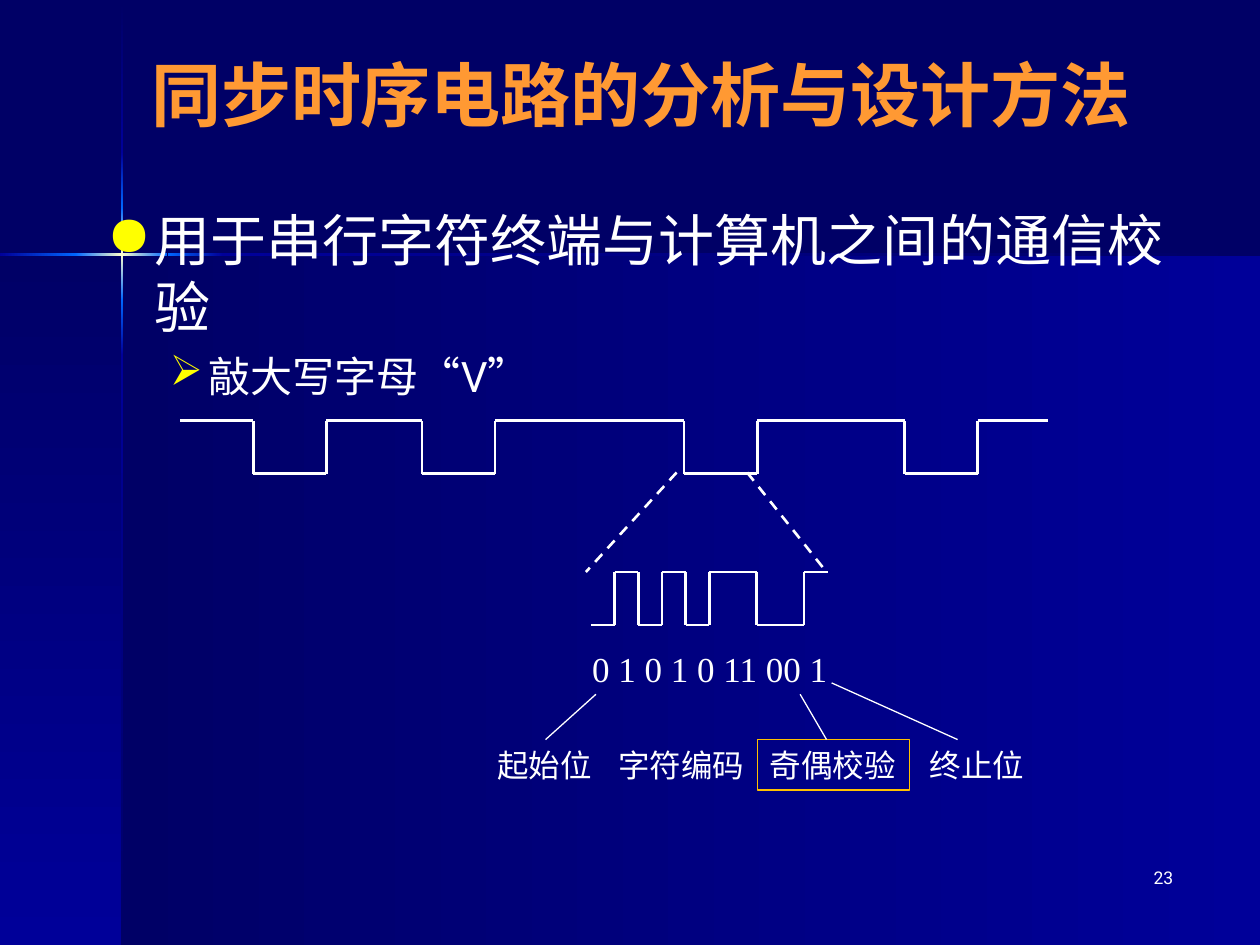
from copy import deepcopy
from dataclasses import dataclass
from itertools import groupby, pairwise

from lxml.etree import SubElement
from pptx import Presentation
from pptx.dml.color import RGBColor
from pptx.enum.dml import MSO_LINE_DASH_STYLE as Dash
from pptx.enum.shapes import MSO_CONNECTOR as Connector, MSO_SHAPE as Shape
from pptx.enum.text import MSO_ANCHOR as Anchor, MSO_AUTO_SIZE as AutoSize, PP_ALIGN as Align
from pptx.oxml.ns import qn
from pptx.util import Inches, Pt

COLORS = {
    "night": "000066", "navy": "000099", "blue": "0066FF", "glow": "FFFFCC",
    "title": "FF9933", "text": "FFFFFF", "bullet": "FFFF00", "frame": "FFC000",
}
DOWN, ACROSS = 270, 0


@dataclass
class Band:
    left: float
    top: float
    width: float
    height: float
    angle: int
    stops: tuple[str, ...]


@dataclass
class Label:
    text: str
    left: float
    top: float
    width: float
    height: float
    size: int = 18
    framed: bool = False


@dataclass
class Bullet:
    text: str
    char: str
    size: int
    margin: float
    hanging: float
    space_before: float = 0


@dataclass
class Link:
    start: tuple[float, float]
    end: tuple[float, float]
    weight: float = 0.75
    dashed: bool = False


# Backdrop: panels, then the fading cross of light
RISE, FALL = ("navy", "blue"), ("blue", "navy")
FLARE = ("blue", "glow", "blue")
BANDS = [
    Band(0.97, 2.02, 9.03, 5.48, ACROSS, ("night", "navy")),
    Band(0, 2.02, 0.97, 5.48, DOWN, ("night", "navy")),
    Band(0.96, 0.01, 0.02, 1.2, DOWN, ("night", "navy")),
    Band(0.96, 2.82, 0.02, 4.68, DOWN, ("navy", "night")),
    Band(1.77, 2.01, 8.23, 0.02, ACROSS, ("navy", "night")),
    Band(0.96, 2.38, 0.02, 0.44, DOWN, FALL),
    Band(0.96, 1.21, 0.02, 0.44, DOWN, RISE),
    Band(0.96, 1.65, 0.02, 0.73, DOWN, FLARE),
    Band(0, 2.01, 0.61, 0.02, ACROSS, RISE),
    Band(1.33, 2.01, 0.44, 0.02, ACROSS, FALL),
    Band(0.6, 2.01, 0.73, 0.02, ACROSS, FLARE),
]
BULLETS = [
    Bullet("用于串行字符终端与计算机之间的通信校验", "●", 32, 0.38, 0.38),
    Bullet("敲大写字母“V”", "➢", 24, 0.81, 0.31, 6),
]
BITS = "0 1 0 1 0 11 00 1"
LABELS = [
    Label(BITS, 4.6, 5.09, 2.08, 0.44, 20),
    Label("起始位", 3.85, 5.87, 1.04, 0.4),
    Label("字符编码", 4.81, 5.87, 1.29, 0.4),
    Label("奇偶校验", 6.01, 5.87, 1.21, 0.4, framed=True),
    Label("终止位", 7.28, 5.87, 1.04, 0.4),
]
LINKS = [
    Link((5.37, 3.75), (4.65, 4.54), 1.5, True),
    Link((5.93, 3.75), (6.56, 4.54), 1.5, True),
    Link((4.73, 5.51), (4.33, 5.87)),
    Link((6.35, 5.51), (6.56, 5.87)),
    Link((6.6, 5.42), (7.6, 5.87)),
]


def rgb(name: str) -> RGBColor:
    return RGBColor.from_string(COLORS[name])


def apply(target, values: dict) -> None:
    for name, value in values.items():
        setattr(target, name, value)


def add_run(paragraph, text: str, size: int, font: str, color="text", bold=False) -> None:
    run = paragraph.add_run()
    run.text = text
    apply(run.font, {"size": Pt(size), "name": font, "bold": bold})
    run.font.color.rgb = rgb(color)


def add_box(slide, left: float, top: float, width: float, height: float, **frame_format):
    box = slide.shapes.add_textbox(*map(Inches, (left, top, width, height)))
    apply(box.text_frame, {"word_wrap": True, **frame_format})
    return box


def add_band(slide, band: Band) -> None:
    shape = slide.shapes.add_shape(
        Shape.RECTANGLE, *map(Inches, (band.left, band.top, band.width, band.height)))
    shape.shadow.inherit = False
    shape.line.fill.background()
    shape.fill.gradient()
    shape.fill.gradient_angle = band.angle
    # A new gradient has two stops; a flare needs a third
    stop_list = shape.fill._fill._gradFill.find(qn("a:gsLst"))
    for _ in band.stops[2:]:
        stop_list.append(deepcopy(stop_list[-1]))
    for index, (stop, color) in enumerate(zip(shape.fill.gradient_stops, band.stops)):
        stop.position = index / (len(band.stops) - 1)
        stop.color.rgb = rgb(color)


def add_link(slide, link: Link) -> None:
    connector = slide.shapes.add_connector(
        Connector.STRAIGHT, *map(Inches, (*link.start, *link.end)))
    connector.line.color.rgb = rgb("text")
    connector.line.width = Pt(link.weight)
    if link.dashed:
        connector.line.dash_style = Dash.DASH
    SubElement(connector._element.spPr, qn("a:effectLst"))


def add_wave(slide, edges: list[float], high: float, low: float, starts_high: bool) -> None:
    """Draw a square wave that changes level at every inner edge."""
    level, other = (high, low) if starts_high else (low, high)
    for left, right in pairwise(edges):
        add_link(slide, Link((left, level), (right, level), 1.5))
        if right != edges[-1]:
            add_link(slide, Link((right, low), (right, high), 1.5))
        level, other = other, level


def add_bullet(paragraph, bullet: Bullet) -> None:
    paragraph.space_before = Pt(bullet.space_before)
    properties = paragraph._p.get_or_add_pPr()
    properties.set("marL", str(Inches(bullet.margin)))
    properties.set("indent", str(-Inches(bullet.hanging)))
    color = SubElement(properties, qn("a:buClr"))
    SubElement(color, qn("a:srgbClr"), val=COLORS["bullet"])
    SubElement(properties, qn("a:buChar"), char=bullet.char)
    add_run(paragraph, bullet.text, bullet.size, "Roboto")


def add_label(slide, label: Label) -> None:
    box = add_box(slide, label.left, label.top, label.width, label.height,
                  auto_size=AutoSize.SHAPE_TO_FIT_TEXT)
    add_run(box.text_frame.paragraphs[0], label.text, label.size, "Times New Roman")
    if label.framed:
        box.line.color.rgb = rgb("frame")
        box.line.width = Pt(0.75)


def main() -> None:
    presentation = Presentation()
    apply(presentation, {"slide_width": Inches(10), "slide_height": Inches(7.5)})
    slide = presentation.slides.add_slide(presentation.slide_layouts[6])
    slide.background.fill.solid()
    slide.background.fill.fore_color.rgb = rgb("night")
    for band in BANDS:
        add_band(slide, band)

    # Title, bullets and page number
    title = add_box(slide, 0.5, 0.33, 9.17, 0.83, vertical_anchor=Anchor.MIDDLE)
    paragraph = title.text_frame.paragraphs[0]
    paragraph.alignment = Align.CENTER
    add_run(paragraph, "同步时序电路的分析与设计方法", 40, "Roboto", "title", True)
    body = add_box(slide, 0.75, 1.58, 8.67, 5.08).text_frame
    for index, bullet in enumerate(BULLETS):
        add_bullet(body.add_paragraph() if index else body.paragraphs[0], bullet)
    number = add_box(slide, 7.33, 6.83, 2.08, 0.5).text_frame.paragraphs[0]
    number.alignment = Align.RIGHT
    add_run(number, "23", 10, "Roboto")

    # Line signal: one low pulse per character
    pulse_edges = [edge for start in (2.01, 3.35, 5.43, 7.18) for edge in (start, start + 0.58)]
    add_wave(slide, [1.43, *pulse_edges, 8.32], 3.34, 3.76, True)

    # Enlarged pulse: one equal step per bit
    bits = BITS.replace(" ", "")
    bit_width = (6.57 - 4.69) / len(bits)
    bit_edges = [4.69]
    for _, group in groupby(bits):
        bit_edges.append(bit_edges[-1] + bit_width * len(list(group)))
    add_wave(slide, bit_edges, 4.54, 4.96, False)

    # Bit names and their pointers
    for label in LABELS:
        add_label(slide, label)
    for link in LINKS:
        add_link(slide, link)
    presentation.save("out.pptx")


if __name__ == "__main__":
    main()
